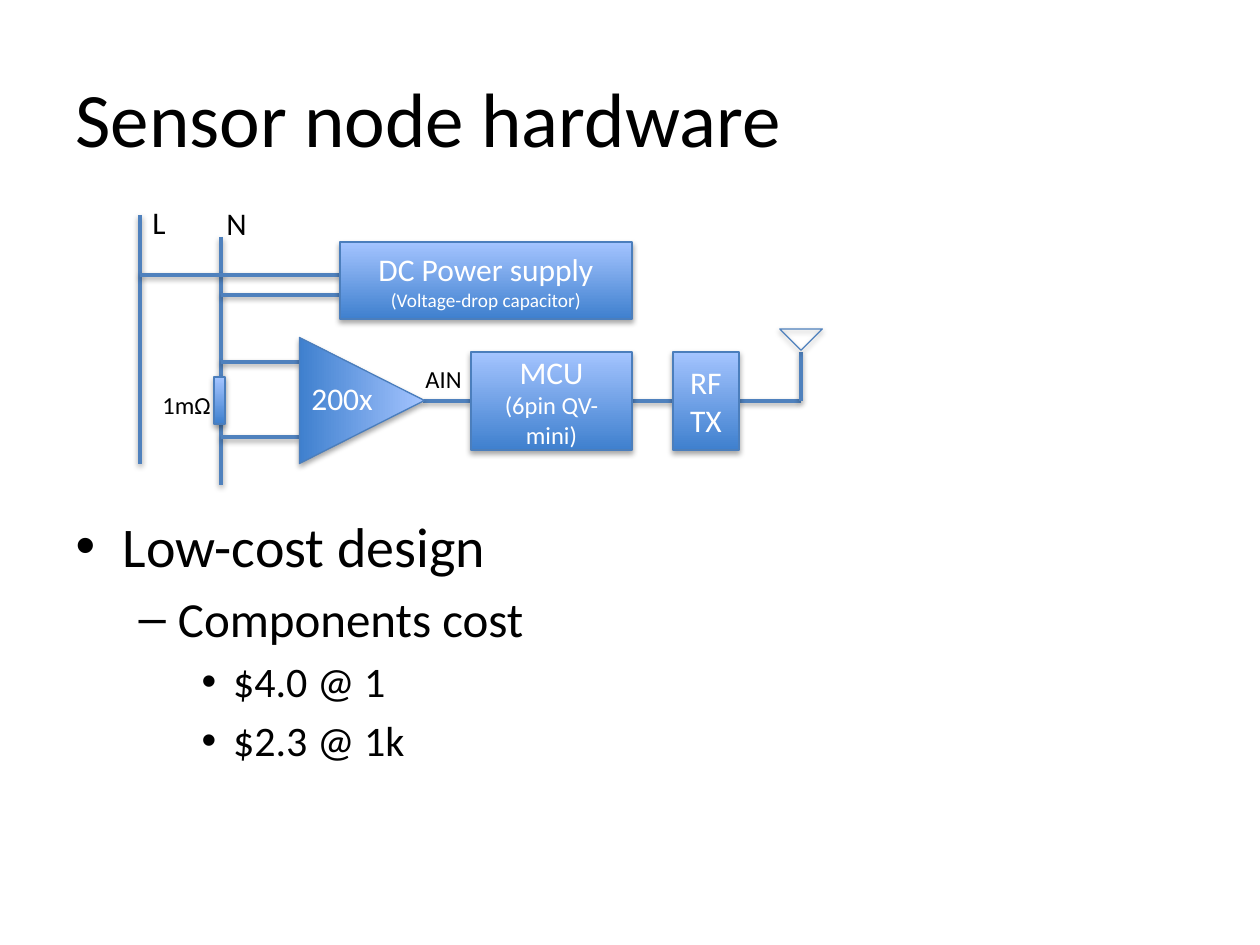
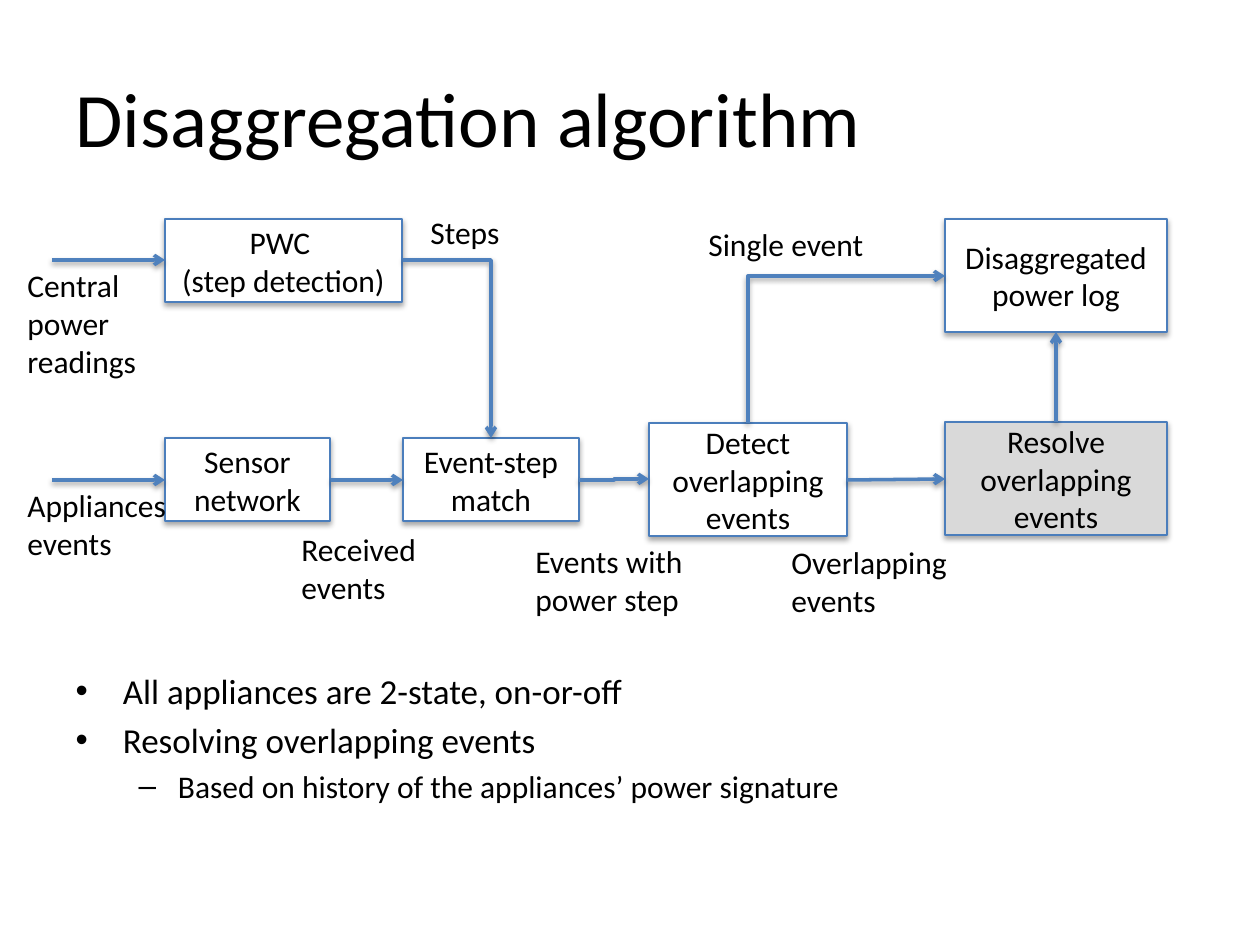
from typing import NamedTuple

from lxml import etree
from pptx import Presentation
from pptx.dml.color import RGBColor
from pptx.enum.shapes import MSO_CONNECTOR, MSO_SHAPE
from pptx.enum.text import MSO_ANCHOR, PP_ALIGN
from pptx.oxml.ns import qn
from pptx.util import Emu, Pt

EMU_PER_PX = 914400 / 126
STRAIGHT, ELBOW = MSO_CONNECTOR.STRAIGHT, MSO_CONNECTOR.ELBOW
RECTANGLE = MSO_SHAPE.RECTANGLE
TRIANGLE = MSO_SHAPE.ISOSCELES_TRIANGLE
RIGHT_TRIANGLE = MSO_SHAPE.RIGHT_TRIANGLE
LEFT, CENTER = PP_ALIGN.LEFT, PP_ALIGN.CENTER
MIDDLE = MSO_ANCHOR.MIDDLE
FONT = "Calibri"
COLORS = {
    "black": "000000",
    "white": "FFFFFF",
    "gray": "D9D9D9",
    "outline": "4B7EBC",
    "wire": "4F81BD",
    "gradient_dark": "3F80CE",
    "gradient_light": "A4C4FF",
}


class Line(NamedTuple):
    text: str
    size: int = 18
    level: int = 0


class Block(NamedTuple):
    left: int
    top: int
    width: int
    height: int
    lines: tuple[Line, ...] = ()
    fill: str = "gradient"
    geometry: int = RECTANGLE
    rotation: int = 0
    outline: str = "outline"


class Wire(NamedTuple):
    start_x: int
    start_y: int
    end_x: int
    end_y: int
    kind: int = STRAIGHT


class Label(NamedTuple):
    left: int
    top: int
    width: int
    height: int
    text: str
    size: int = 18
    color: str = "black"
    wrap: bool = True


def px(length: int) -> Emu:
    return Emu(round(length * EMU_PER_PX))


def rgb(name: str) -> RGBColor:
    return RGBColor.from_string(COLORS[name])


def add_shadow(shape, alpha: int, distance: int) -> None:
    effects = etree.SubElement(shape.element.spPr, qn("a:effectLst"))
    shadow = etree.SubElement(
        effects, qn("a:outerShdw"), blurRad="40000", dist=str(distance),
        dir="5400000", rotWithShape="0")
    color = etree.SubElement(shadow, qn("a:srgbClr"), val=COLORS["black"])
    etree.SubElement(color, qn("a:alpha"), val=str(alpha * 1000))


def write_lines(frame, lines: tuple[Line, ...], color: str, alignment: int) -> None:
    for index, line in enumerate(lines):
        paragraph = frame.add_paragraph() if index else frame.paragraphs[0]
        paragraph.text = line.text
        paragraph.level = line.level
        paragraph.alignment = alignment
        paragraph.font.name = FONT
        paragraph.font.size = Pt(line.size)
        paragraph.font.color.rgb = rgb(color)


def add_titled_slide(presentation, title: str, body_top: int, body_height: int,
                     bullets: tuple[Line, ...]):
    slide = presentation.slides.add_slide(presentation.slide_layouts[1])
    write_lines(slide.shapes.title.text_frame, (Line(title, 44),), "black", LEFT)
    body = slide.placeholders[1]
    body.left, body.top = px(63), px(body_top)
    body.width, body.height = px(1134), px(body_height)
    write_lines(body.text_frame, bullets, "black", LEFT)
    return slide


def add_block(slide, block: Block) -> None:
    shape = slide.shapes.add_shape(
        block.geometry, px(block.left), px(block.top), px(block.width), px(block.height))
    shape.rotation = block.rotation
    if block.fill == "gradient":
        shape.fill.gradient()
        shape.fill.gradient_angle = 90
        for stop, name in zip(shape.fill.gradient_stops, ("gradient_dark", "gradient_light")):
            stop.color.rgb = rgb(name)
    elif block.fill == "none":
        shape.fill.background()
    else:
        shape.fill.solid()
        shape.fill.fore_color.rgb = rgb(block.fill)
    shape.line.color.rgb = rgb(block.outline)
    shape.line.width = Pt(0.75)
    add_shadow(shape, 35, 23000)
    shape.text_frame.vertical_anchor = MIDDLE
    text_color = "white" if block.fill == "gradient" else "black"
    write_lines(shape.text_frame, block.lines, text_color, CENTER)


def add_wire(slide, wire: Wire, arrow: bool = False):
    connector = slide.shapes.add_connector(
        wire.kind, px(wire.start_x), px(wire.start_y), px(wire.end_x), px(wire.end_y))
    connector.line.color.rgb = rgb("wire")
    connector.line.width = Pt(2)
    if arrow:
        outline = connector.element.spPr.find(qn("a:ln"))
        etree.SubElement(outline, qn("a:tailEnd"), type="arrow")
    add_shadow(connector, 38, 20000)
    return connector


def add_corner_arrow(slide, wire: Wire) -> None:
    rising = wire.end_y < wire.start_y
    frame = wire
    if rising:
        run, rise = wire.end_x - wire.start_x, wire.start_y - wire.end_y
        right = (wire.start_x + wire.end_x + rise) // 2
        bottom = (wire.start_y + wire.end_y + run) // 2
        frame = Wire(right, bottom, right - rise, bottom - run, ELBOW)
    properties = add_wire(slide, frame, arrow=True).element.spPr
    properties.find(qn("a:prstGeom")).set("prst", "bentConnector2")
    if rising:
        properties.find(qn("a:xfrm")).set("rot", "5400000")


def add_label(slide, label: Label) -> None:
    box = slide.shapes.add_textbox(
        px(label.left), px(label.top), px(label.width), px(label.height))
    box.text_frame.word_wrap = label.wrap
    write_lines(box.text_frame, (Line(label.text, label.size),), label.color, LEFT)


def build_hardware_slide(presentation) -> None:
    slide = add_titled_slide(presentation, "Sensor node hardware", 505, 339, (
        Line("Low-cost design", 32),
        Line("Components cost", 28, 1),
        Line("$4.0 @ 1", 24, 2),
        Line("$2.3 @ 1k", 24, 2),
    ))
    live_x, neutral_x, signal_y = 140, 221, 401
    wires = (
        Wire(live_x, 215, live_x, 464),
        Wire(neutral_x, 237, neutral_x, 485),
        Wire(live_x, 275, 340, 275),
        Wire(neutral_x, 295, 340, 295),
        Wire(neutral_x, 362, 299, 362),
        Wire(neutral_x, 437, 299, 437),
        Wire(423, signal_y, 471, signal_y),
        Wire(632, signal_y, 673, signal_y),
        Wire(739, signal_y, 801, signal_y),
        Wire(801, signal_y, 801, 352),
    )
    blocks = (
        Block(340, 242, 292, 77,
              (Line("DC Power supply"), Line("(Voltage-drop capacitor)", 11))),
        Block(471, 352, 161, 98, (Line("MCU"), Line("(6pin QV-mini)", 14))),
        Block(673, 352, 66, 98, (Line("RF\vTX"),)),
        Block(214, 377, 11, 47),
        Block(299, 338, 126, 125, geometry=TRIANGLE, rotation=90),
        Block(786, 314, 30, 30, fill="none", geometry=RIGHT_TRIANGLE, rotation=315,
              outline="wire"),
    )
    labels = (
        Label(299, 373, 125, 50, "200x", color="white"),
        Label(140, 197, 39, 50, "L", wrap=False),
        Label(214, 198, 45, 50, "N", wrap=False),
        Label(150, 384, 91, 43, "1mΩ", 14),
        Label(413, 358, 97, 43, "AIN", 14),
    )
    for wire in wires:
        add_wire(slide, wire)
    for block in blocks:
        add_block(slide, block)
    for label in labels:
        add_label(slide, label)


def build_algorithm_slide(presentation) -> None:
    slide = add_titled_slide(presentation, "Disaggregation algorithm", 663, 181, (
        Line("All appliances are 2-state, on-or-off", 20),
        Line("Resolving overlapping events", 20),
        Line("Based on history of the appliances’ power signature", 18, 1),
    ))
    blocks = (
        Block(165, 219, 237, 83, (Line("PWC "), Line("(step detection)")), "white"),
        Block(165, 438, 165, 83, (Line("Sensor network"),), "white"),
        Block(403, 438, 176, 83, (Line("Event-step match"),), "white"),
        Block(649, 423, 198, 113, (Line("Detect overlapping events"),), "white"),
        Block(945, 219, 222, 113, (Line("Disaggregated power log"),), "white"),
        Block(945, 422, 222, 113, (Line("Resolve overlapping events"),), "gray"),
    )
    arrows = (
        Wire(52, 260, 165, 260),
        Wire(52, 480, 165, 480),
        Wire(331, 480, 403, 480),
        Wire(579, 480, 649, 479, ELBOW),
        Wire(847, 480, 945, 479),
        Wire(1056, 422, 1056, 332),
    )
    corner_arrows = (
        Wire(403, 260, 491, 438, ELBOW),
        Wire(748, 423, 945, 276, ELBOW),
    )
    labels = (
        Label(15, 260, 137, 127, "Central power readings"),
        Label(15, 480, 171, 89, "Appliances events"),
        Label(418, 207, 207, 50, "Steps"),
        Label(289, 524, 174, 89, "Received events"),
        Label(523, 536, 174, 89, "Events with power step"),
        Label(696, 219, 212, 50, "Single event"),
        Label(779, 537, 233, 89, "Overlapping events"),
    )
    for block in blocks:
        add_block(slide, block)
    for arrow in arrows:
        add_wire(slide, arrow, arrow=True)
    for arrow in corner_arrows:
        add_corner_arrow(slide, arrow)
    for label in labels:
        add_label(slide, label)


def main() -> None:
    presentation = Presentation()
    presentation.slide_width, presentation.slide_height = px(1260), px(945)
    build_hardware_slide(presentation)
    build_algorithm_slide(presentation)
    presentation.save("out.pptx")


if __name__ == "__main__":
    main()
